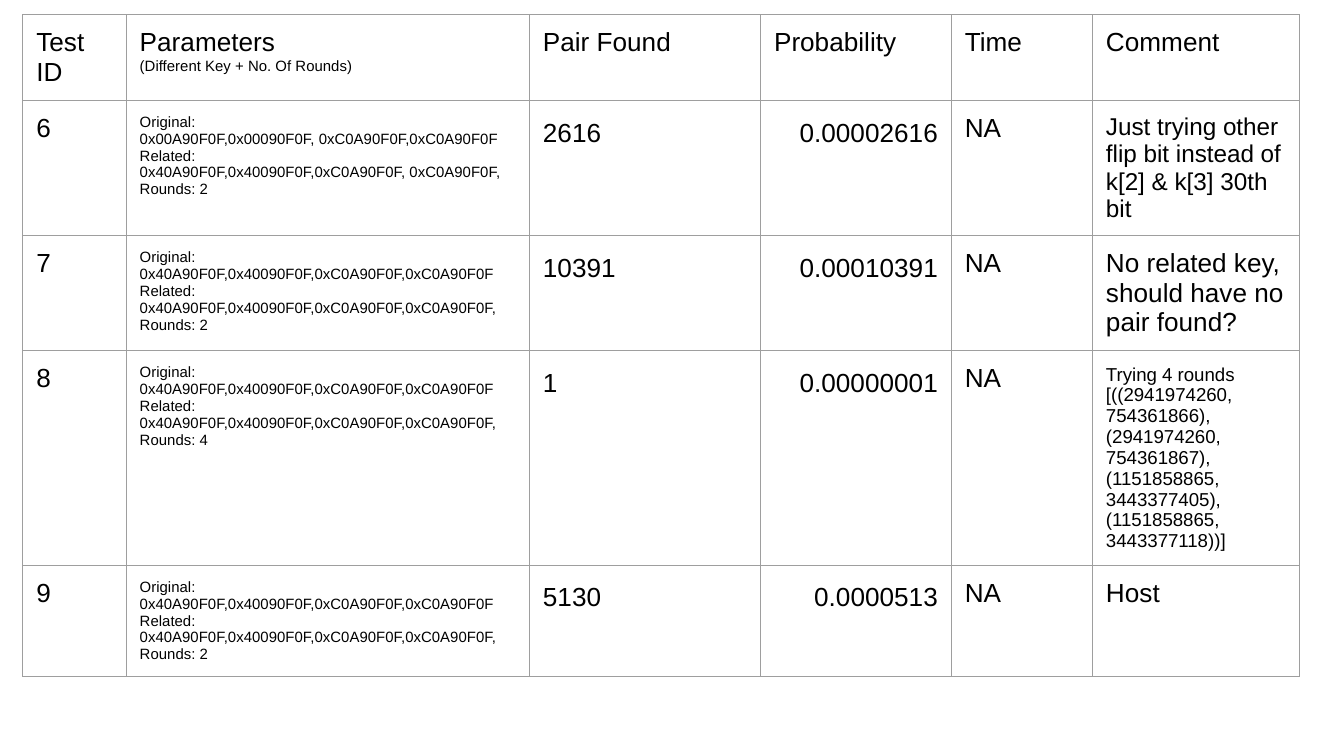
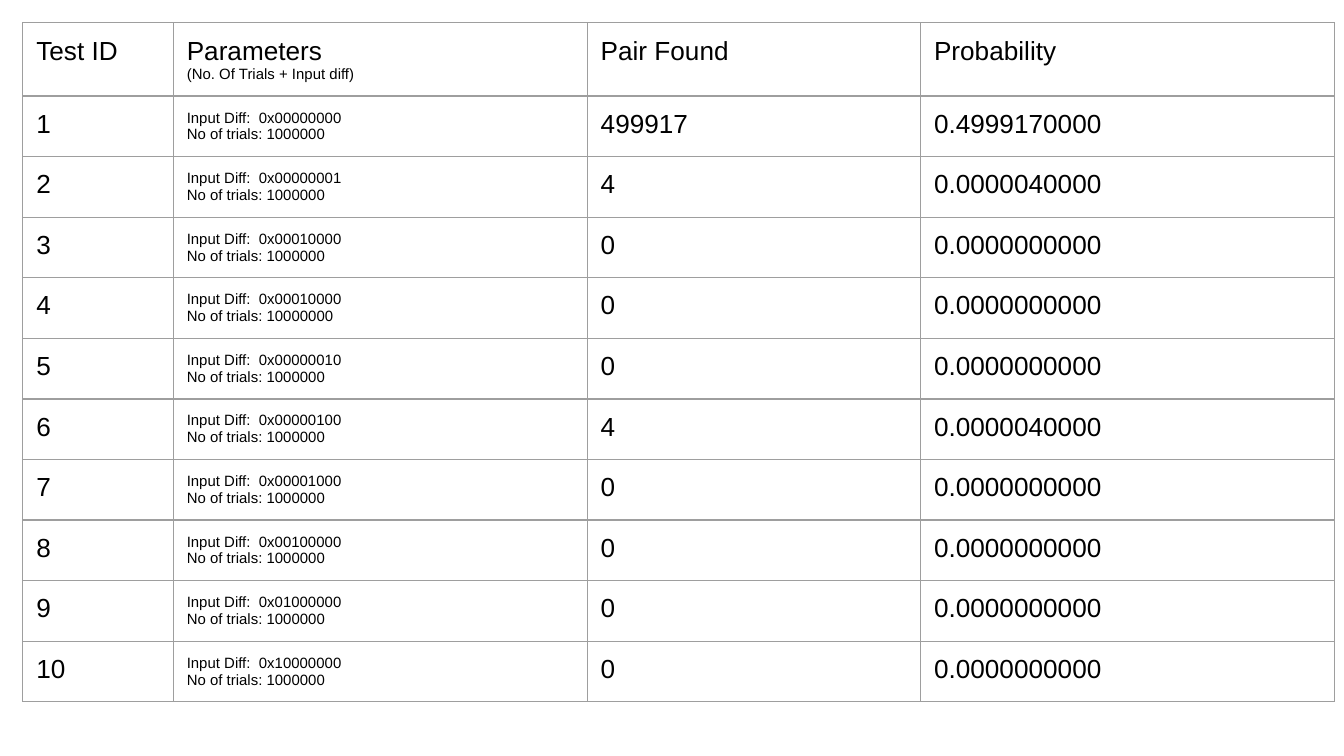
from lxml import etree
from pptx import Presentation
from pptx.dml.color import RGBColor
from pptx.enum.text import MSO_ANCHOR, PP_ALIGN
from pptx.oxml.ns import qn
from pptx.util import Inches, Pt

TOP, LEFT, RIGHT = MSO_ANCHOR.TOP, PP_ALIGN.LEFT, PP_ALIGN.RIGHT
FONT, INK, GRID = "Arial", "000000", "9E9E9E"
BIG, SMALL = 14, 8
BASE_KEY = "0x40A90F0F,0x40090F0F,0xC0A90F0F,0xC0A90F0F"
PAIRS = ("[((2941974260, 754361866), (2941974260, 754361867), "
         "(1151858865, 3443377405), (1151858865, 3443377118))]")


def color(code):
    return RGBColor.from_string(code)


class Deck:
    def __init__(self):
        self.prs = Presentation()
        self.prs.slide_width = Inches(10)
        self.prs.slide_height = Inches(10 * 9 / 16)
        self.slide = None

    def page(self):
        self.slide = self.prs.slides.add_slide(self.prs.slide_layouts[6])

    def border(self, cell):
        props = cell._tc.get_or_add_tcPr()
        for side in ("a:lnL", "a:lnR", "a:lnT", "a:lnB"):
            line = etree.SubElement(props, qn(side), w=str(Pt(0.75)))
            fill = etree.SubElement(line, qn("a:solidFill"))
            etree.SubElement(fill, qn("a:srgbClr"), val=GRID)

    def cell(self, cell, lines, align=LEFT, space=None):
        """Fill a cell; lines holds one (text, size) pair per paragraph."""
        self.border(cell)
        cell.fill.background()
        cell.vertical_anchor = TOP
        cell.margin_left = cell.margin_right = Inches(0.1)
        cell.margin_top = cell.margin_bottom = Inches(0.1)
        cell.text_frame.text = "\n".join(text for text, _ in lines)
        for para, (_, size) in zip(cell.text_frame.paragraphs, lines):
            para.alignment = align
            if space:
                para.line_spacing = space
            for run in para.runs:
                run.font.name = FONT
                run.font.size = Pt(size)
                run.font.color.rgb = color(INK)

    def table(self, top, widths, rows, styles=None, high=0.42):
        """Draw rows of cells; styles maps a column to its body (align, space)."""
        frame = self.slide.shapes.add_table(
            len(rows), len(widths), Inches(0.17), Inches(top),
            Inches(sum(widths)), Inches(high * len(rows)))
        table = frame.table
        table.first_row = table.horz_banding = False
        for col, width in zip(table.columns, widths):
            col.width = Inches(width)
        for r, row in enumerate(rows):
            table.rows[r].height = Inches(high)
            for c, lines in enumerate(row):
                style = (styles or {}).get(c, (LEFT, None)) if r else (LEFT, None)
                self.cell(table.cell(r, c), lines, *style)


def big(text):
    return [(text, BIG)]


def small(*texts):
    return [(text, SMALL) for text in texts]


def head(note, *extra):
    names = ["Pair Found", "Probability", *extra]
    return [big("Test ID"), big("Parameters") + small(note), *map(big, names)]


def key_row(test, found, chance, comment, rounds=2,
            first=BASE_KEY, second=BASE_KEY):
    keys = small("Original:", first, "Related:", second + ",",
                 f"Rounds: {rounds}")
    return [big(test), keys, big(found), big(chance), big("NA"), comment]


def diff_row(test, diff, found, trials=1000000):
    return [big(str(test)),
            small(f"Input Diff:  {diff}", f"No of trials: {trials}"),
            big(str(found)), big(f"{found / trials:.10f}")]


def key_page(deck):
    deck.page()
    rows = [
        head("(Different Key + No. Of Rounds)", "Time", "Comment"),
        key_row("6", "2616", "0.00002616",
                [("Just trying other flip bit instead of "
                  "k[2] & k[3] 30th bit", 13)],
                first="0x00A90F0F,0x00090F0F, 0xC0A90F0F,0xC0A90F0F",
                second="0x40A90F0F,0x40090F0F,0xC0A90F0F, 0xC0A90F0F"),
        key_row("7", "10391", "0.00010391",
                big("No related key, should have no pair found?")),
        key_row("8", "1", "0.00000001",
                [("Trying 4 rounds", 10), (PAIRS, 10)], rounds=4),
        key_row("9", "5130", "0.0000513", big("Host")),
    ]
    deck.table(0.11, [0.77, 3, 1.72, 1.42, 1.05, 1.54], rows,
               {2: (LEFT, 1.15), 3: (RIGHT, 1.15)})


def diff_page(deck):
    deck.page()
    rows = [
        head("(No. Of Trials + Input diff)"),
        diff_row(1, "0x00000000", 499917),
        diff_row(2, "0x00000001", 4),
        diff_row(3, "0x00010000", 0),
        diff_row(4, "0x00010000", 0, trials=10000000),
        diff_row(5, "0x00000010", 0),
        diff_row(6, "0x00000100", 4),
        diff_row(7, "0x00001000", 0),
        diff_row(8, "0x00100000", 0),
        diff_row(9, "0x01000000", 0),
        diff_row(10, "0x10000000", 0),
    ]
    deck.table(0.17, [1.12, 3.08, 2.48, 3.08], rows)


def main():
    deck = Deck()
    key_page(deck)
    diff_page(deck)
    deck.prs.save("out.pptx")


if __name__ == "__main__":
    main()
